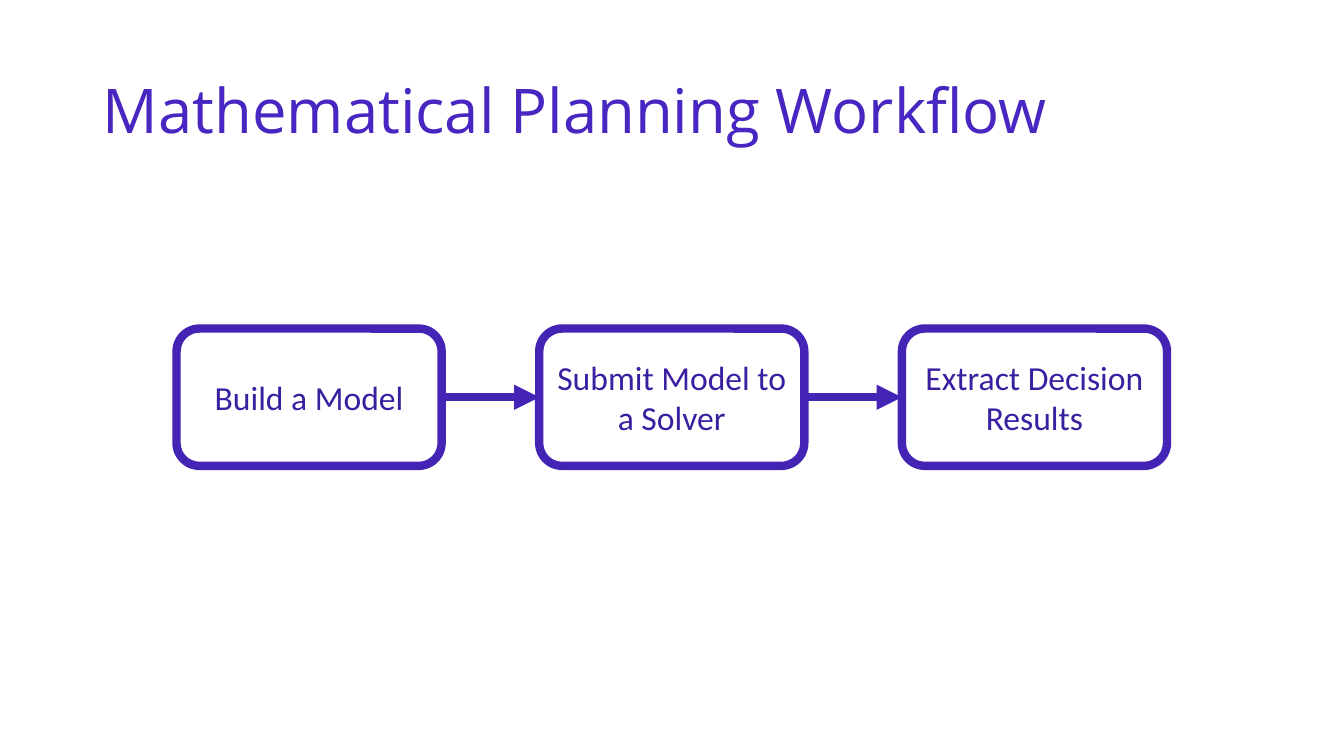
import pptx
import pptx.util
import pptx.dml.color
import pptx.enum.shapes
import pptx.enum.text
import pptx.oxml.ns
import lxml.etree

COLOURS = {"title": "4826C1", "outline": "4424B5", "label": "3A20A0", "fill": "FFFFFF"}
STEPS = ["Build a Model", "Submit Model to a Solver", "Extract Decision Results"]
Cm = pptx.util.Cm
Pt = pptx.util.Pt
RIGHT_SIDE, LEFT_SIDE = 3, 1


def rgb(name):
    return pptx.dml.color.RGBColor.from_string(COLOURS[name])


def write_text(frame, text, *, font, size, colour, align, line_spacing=1.0):
    frame.word_wrap = True
    frame.vertical_anchor = pptx.enum.text.MSO_ANCHOR.MIDDLE
    para = frame.paragraphs[0]
    para.alignment = align
    para.line_spacing = line_spacing
    span = para.add_run()
    span.text = text
    span.font.name = font
    span.font.size = Pt(size)
    span.font.color.rgb = rgb(colour)


class WorkflowPage:
    """Style and drawing methods for one page."""

    title_font = "Open Sans"
    label_font = "Calibri"
    line_width = Pt(6)

    def __init__(self, deck):
        self.page = deck.slides.add_slide(deck.slide_layouts[5])

    def add_title(self, text):
        title = self.page.shapes.title
        title.left, title.top = Cm(2.34), Cm(1.02)
        title.width, title.height = Cm(29.21), Cm(3.68)
        title.text_frame.auto_size = pptx.enum.text.MSO_AUTO_SIZE.NONE
        write_text(title.text_frame, text, font=self.title_font, size=44, colour="title",
                   align=pptx.enum.text.PP_ALIGN.LEFT, line_spacing=0.9)

    def style_line(self, line):
        line.color.rgb = rgb("outline")
        line.width = self.line_width

    def add_step(self, text, left, top, width, height):
        box = self.page.shapes.add_shape(
            pptx.enum.shapes.MSO_SHAPE.ROUNDED_RECTANGLE, left, top, width, height)
        box.shadow.inherit = False
        box.fill.solid()
        box.fill.fore_color.rgb = rgb("fill")
        self.style_line(box.line)
        write_text(box.text_frame, text, font=self.label_font, size=24, colour="label",
                   align=pptx.enum.text.PP_ALIGN.CENTER)
        return box

    def add_arrow(self, source, target):
        arrow = self.page.shapes.add_connector(
            pptx.enum.shapes.MSO_CONNECTOR.STRAIGHT, 0, 0, 0, 0)
        arrow.begin_connect(source, RIGHT_SIDE)
        arrow.end_connect(target, LEFT_SIDE)
        self.style_line(arrow.line)
        qn = pptx.oxml.ns.qn
        lxml.etree.SubElement(arrow.line._get_or_add_ln(), qn("a:tailEnd"), type="triangle")
        lxml.etree.SubElement(arrow._element.spPr, qn("a:effectLst"))


def main():
    deck = pptx.Presentation()
    deck.slide_width, deck.slide_height = Cm(33.87), Cm(19.05)
    workflow = WorkflowPage(deck)
    workflow.add_title("Mathematical Planning Workflow")

    # Steps at equal distances
    first_left, pitch = Cm(4.45), Cm(9.14)
    boxes = [workflow.add_step(text, first_left + index * pitch, Cm(8.28), Cm(6.68), Cm(3.46))
             for index, text in enumerate(STEPS)]

    # Arrows between neighbouring steps
    for source, target in zip(boxes, boxes[1:]):
        workflow.add_arrow(source, target)

    deck.save("out.pptx")


if __name__ == "__main__":
    main()
